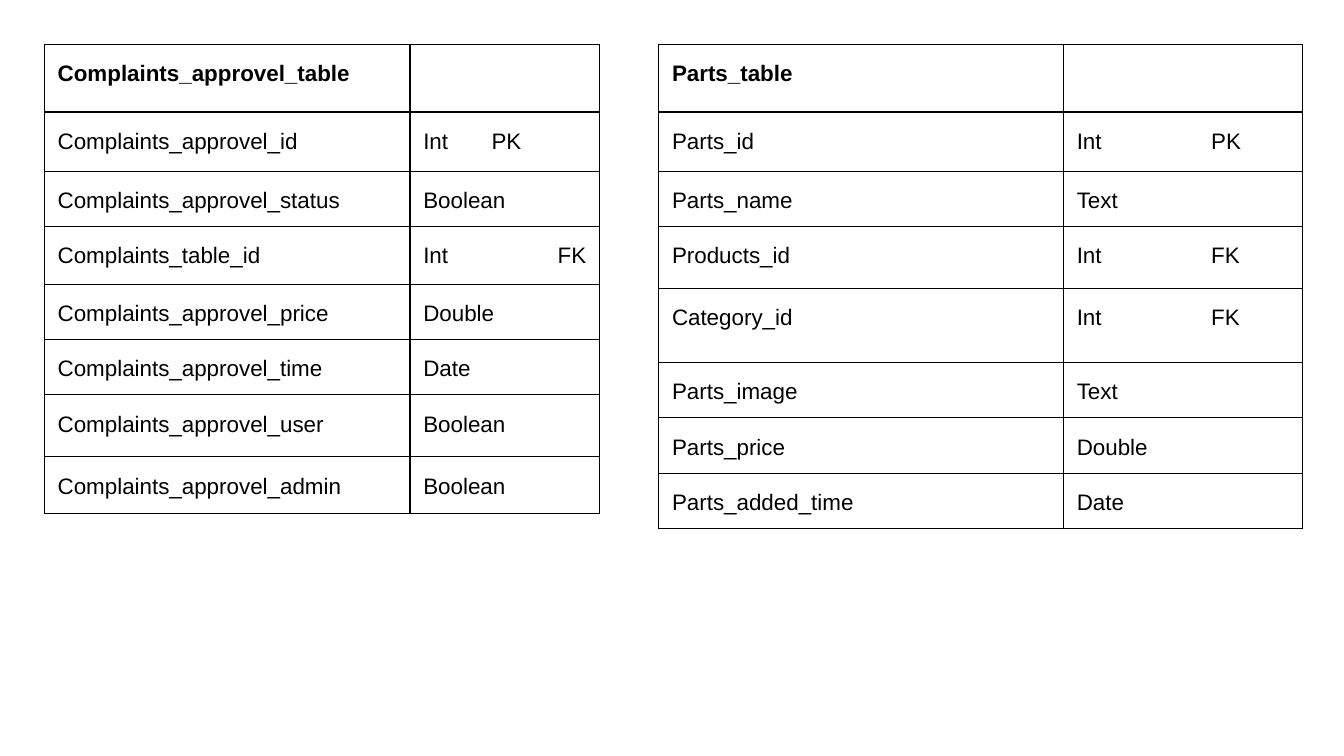
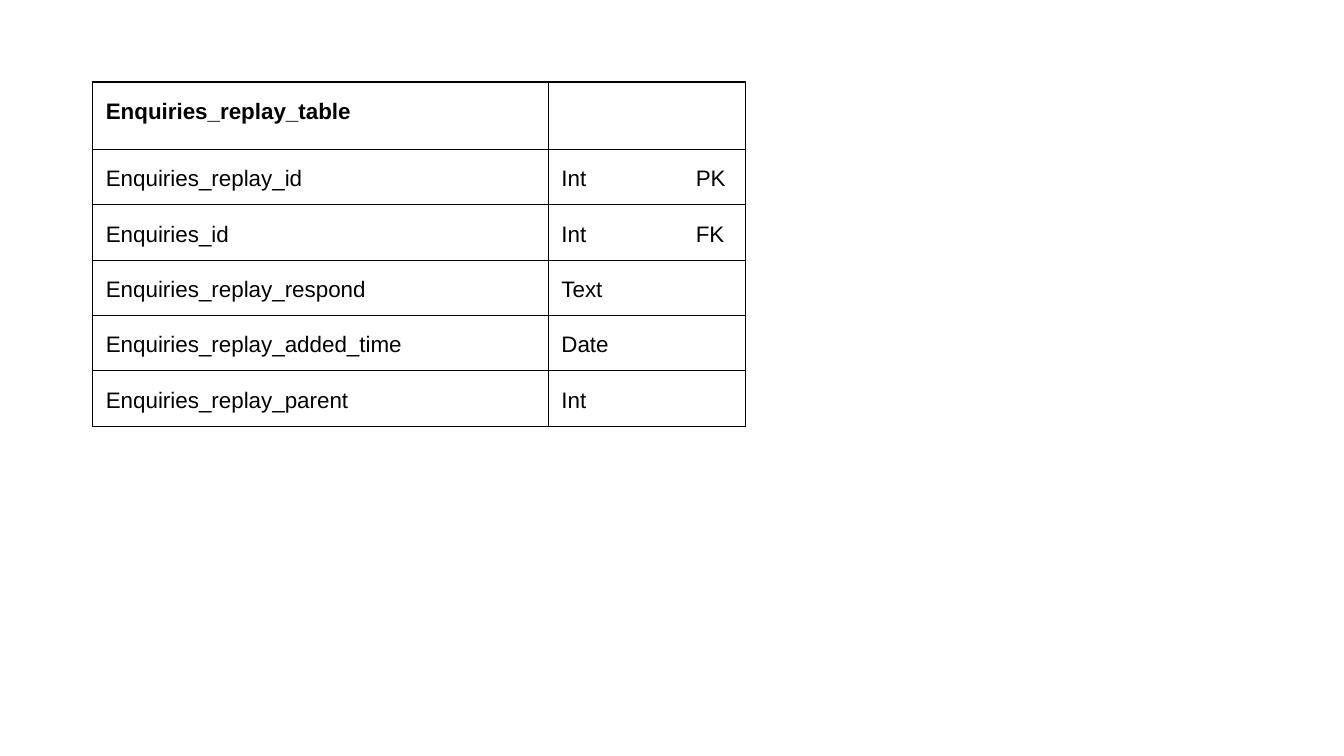
from dataclasses import dataclass

import lxml.etree
import pptx
import pptx.dml.color
import pptx.enum.text
import pptx.oxml.ns
import pptx.presentation
import pptx.slide
import pptx.table
import pptx.util

Cm = pptx.util.Cm
Pt = pptx.util.Pt
qn = pptx.oxml.ns.qn

COLORS = {"page": "FFFFFF", "ink": "000000"}
FONT = "Arial"
TEXT_SIZE = Pt(12)
BORDER_WIDTH = Pt(0.75)
CELL_MARGIN = Cm(0.25)
ROW_HEIGHT = 1.04
BLANK_LAYOUT = 6


@dataclass(frozen=True)
class Field:
    name: str
    kind: str
    key: str = ""
    height: float = ROW_HEIGHT
    key_stop: float = 2.54


@dataclass(frozen=True)
class Schema:
    title: str
    left: float
    top: float
    widths: tuple[float, float]
    fields: tuple[Field, ...]


PAGES = (
    (
        Schema("Complaints_approvel_table", 0.84, 0.84, (6.91, 3.58), (
            Field("Complaints_approvel_id", "Int", "PK", 1.12, 1.29),
            Field("Complaints_approvel_status", "Boolean"),
            Field("Complaints_table_id", "Int", "FK", 1.09),
            Field("Complaints_approvel_price", "Double"),
            Field("Complaints_approvel_time", "Date"),
            Field("Complaints_approvel_user", "Boolean", height=1.17),
            Field("Complaints_approvel_admin", "Boolean", height=1.07),
        )),
        Schema("Parts_table", 12.45, 0.84, (7.65, 4.52), (
            Field("Parts_id", "Int", "PK", 1.12),
            Field("Parts_name", "Text"),
            Field("Products_id", "Int", "FK", 1.17),
            Field("Category_id", "Int", "FK", 1.4),
            Field("Parts_image", "Text"),
            Field("Parts_price", "Double"),
            Field("Parts_added_time", "Date"),
        )),
    ),
    (
        Schema("Enquiries_replay_table", 1.75, 1.55, (8.61, 3.73), (
            Field("Enquiries_replay_id", "Int", "PK"),
            Field("Enquiries_id", "Int", "FK"),
            Field("Enquiries_replay_respond", "Text"),
            Field("Enquiries_replay_added_time", "Date"),
            Field("Enquiries_replay_parent", "Int"),
        )),
    ),
)


def style_cell(cell: pptx.table._Cell) -> None:
    cell.margin_left = cell.margin_right = CELL_MARGIN
    cell.margin_top = cell.margin_bottom = CELL_MARGIN
    cell.vertical_anchor = pptx.enum.text.MSO_ANCHOR.TOP
    properties = cell._tc.get_or_add_tcPr()
    for side in ("a:lnL", "a:lnR", "a:lnT", "a:lnB"):
        line = lxml.etree.SubElement(properties, qn(side), w=str(BORDER_WIDTH))
        fill = lxml.etree.SubElement(line, qn("a:solidFill"))
        lxml.etree.SubElement(fill, qn("a:srgbClr"), val=COLORS["ink"])
    cell.fill.background()


def write_cell(cell: pptx.table._Cell, text: str, bold: bool = False) -> None:
    paragraph = cell.text_frame.paragraphs[0]
    paragraph.text = text
    paragraph.line_spacing = 1.15
    for span in paragraph.runs:
        span.font.name = FONT
        span.font.size = TEXT_SIZE
        span.font.bold = bold
        span.font.color.rgb = pptx.dml.color.RGBColor.from_string(COLORS["ink"])


def set_tab_stop(cell: pptx.table._Cell, position: float) -> None:
    properties = cell.text_frame.paragraphs[0]._p.get_or_add_pPr()
    stops = lxml.etree.SubElement(properties, qn("a:tabLst"))
    lxml.etree.SubElement(stops, qn("a:tab"), pos=str(Cm(position)), algn="l")


def draw_schema(page: pptx.slide.Slide, schema: Schema) -> None:
    heights = [ROW_HEIGHT] + [field.height for field in schema.fields]
    table = page.shapes.add_table(
        len(heights), len(schema.widths), Cm(schema.left), Cm(schema.top),
        Cm(sum(schema.widths)), Cm(sum(heights)),
    ).table
    table.first_row = False
    table.horz_banding = False
    for column, width in zip(table.columns, schema.widths):
        column.width = Cm(width)
    for row, height in zip(table.rows, heights):
        row.height = Cm(height)
    for cell in table.iter_cells():
        style_cell(cell)

    write_cell(table.cell(0, 0), schema.title, bold=True)
    for index, field in enumerate(schema.fields, start=1):
        kind_cell = table.cell(index, 1)
        write_cell(table.cell(index, 0), field.name)
        write_cell(kind_cell, f"{field.kind}\t{field.key}" if field.key else field.kind)
        if field.key:
            set_tab_stop(kind_cell, field.key_stop)


def add_page(deck: pptx.presentation.Presentation) -> pptx.slide.Slide:
    page = deck.slides.add_slide(deck.slide_layouts[BLANK_LAYOUT])
    page.background.fill.solid()
    page.background.fill.fore_color.rgb = pptx.dml.color.RGBColor.from_string(COLORS["page"])
    return page


def main() -> None:
    deck = pptx.Presentation()
    deck.slide_width = Cm(25.4)
    deck.slide_height = Cm(14.29)
    for schemas in PAGES:
        page = add_page(deck)
        for schema in schemas:
            draw_schema(page, schema)
    deck.save("out.pptx")


if __name__ == "__main__":
    main()
